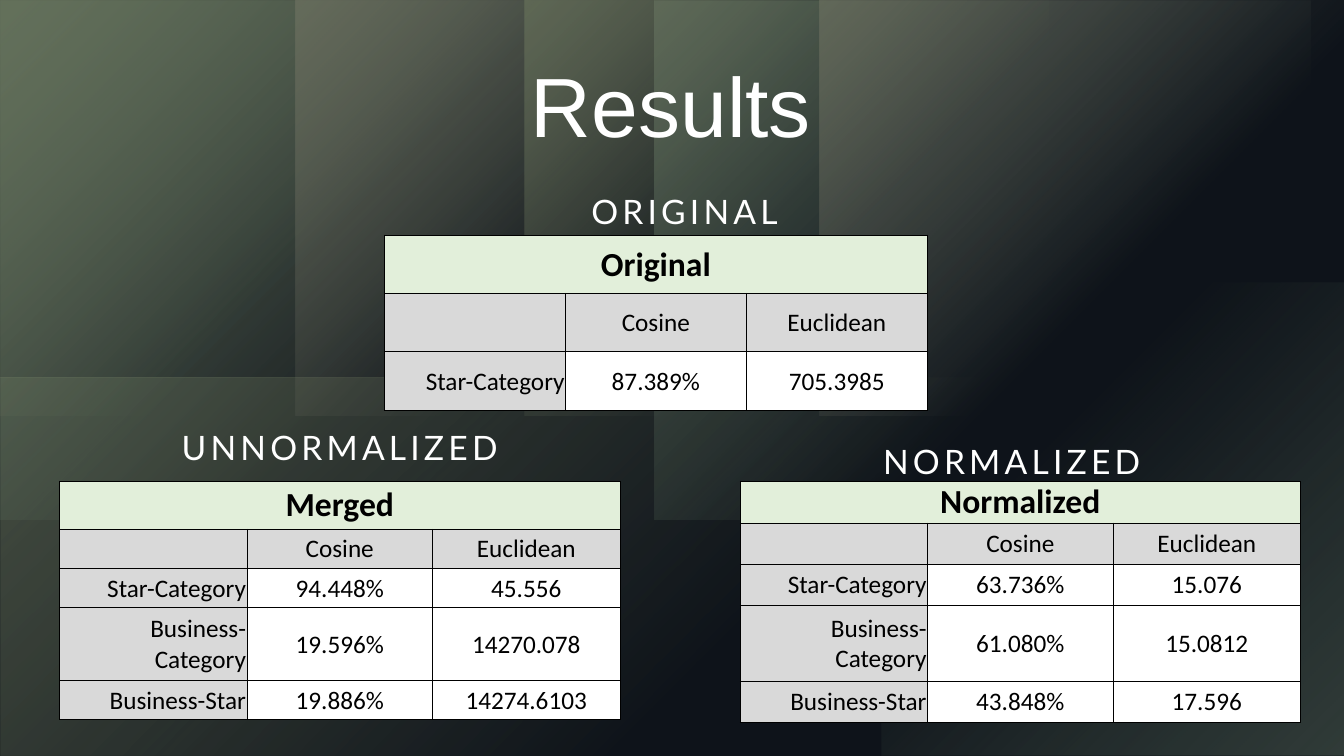
from dataclasses import dataclass

from lxml.etree import SubElement
from pptx import Presentation
from pptx.dml.color import RGBColor
from pptx.enum.shapes import MSO_SHAPE
from pptx.enum.text import MSO_ANCHOR, MSO_AUTO_SIZE, PP_ALIGN
from pptx.oxml.ns import qn
from pptx.shapes.autoshape import Shape
from pptx.slide import Slide
from pptx.util import Inches, Pt

WHITE = RGBColor(0xFF, 0xFF, 0xFF)
BLACK = RGBColor(0x00, 0x00, 0x00)
GREY = RGBColor(0xD9, 0xD9, 0xD9)
MINT = RGBColor(0xE2, 0xEF, 0xDA)
SLATE = RGBColor(0x24, 0x31, 0x41)
SAGE = RGBColor(0x8F, 0xA8, 0x7F)
OLIVE = RGBColor(0x9C, 0xA6, 0x71)
SAND = RGBColor(0xAA, 0xA1, 0x80)

Box = tuple[float, float, float, float]


@dataclass(frozen=True)
class Glow:
    box: Box
    color: RGBColor
    stops: tuple[tuple[int, int], ...]
    rotation: int = 0
    flip: str = ""
    focus: str = "rb"


@dataclass(frozen=True)
class Result:
    heading: str
    heading_box: Box
    title: str
    left: float
    top: float
    cols: tuple[float, ...]
    rows: tuple[float, ...]
    data: tuple[tuple[str, str, str], ...]


FADE = ((0, 60), (60, 0))
SAGE_FADE = ((0, 60), (63, 0))
GLOWS = (
    Glow((8.74, 2.8, 4.59, 4.7), SAGE, ((0, 40), (34, 20), (65, 0)), focus="lt"),
    Glow((4.39, -4.39, 3.75, 12.52), OLIVE, FADE, 270),
    Glow((4.39, -0.64, 3.75, 12.52), OLIVE, FADE, 270, "flipH"),
    Glow((0.67, -0.67, 5.15, 6.5), SAGE, SAGE_FADE, 90),
    Glow((7.17, -0.67, 5.15, 6.5), SAGE, SAGE_FADE, 90, "flipV"),
    Glow((8.13, 0, 5.2, 4.12), SAND, FADE),
    Glow((2.93, 0, 5.2, 4.12), SAND, FADE, flip="flipH"),
    Glow((5.2, 0, 5.2, 4.12), OLIVE, FADE),
    Glow((0, 0, 5.2, 4.12), OLIVE, FADE, flip="flipH"),
)
WIDE = (1.86, 1.84, 1.86)
MERGED = Result(
    "UNNORMALIZED", (0.39, 3.82, 5.96, 0.87), "Merged", 0.59, 4.77,
    WIDE, (0.48, 0.39, 0.39, 0.72, 0.39),
    (("Star-Category", "94.448%", "45.556"),
     ("Business-Category", "19.596%", "14270.078"),
     ("Business-Star", "19.886%", "14274.6103")))
NORMALIZED = Result(
    "NORMALIZED", (7.06, 3.95, 5.95, 0.87), "Normalized", 7.34, 4.77,
    WIDE, (0.41, 0.41, 0.41, 0.75, 0.41),
    (("Star-Category", "63.736%", "15.076"),
     ("Business-Category", "61.080%", "15.0812"),
     ("Business-Star", "43.848%", "17.596")))
ORIGINAL = Result(
    "ORIGINAL", (3.81, 1.47, 5.96, 0.87), "Original", 3.81, 2.33,
    (1.8, 1.79, 1.8), (0.58,) * 3,
    (("Star-Category", "87.389%", "705.3985"),))


def set_all(obj: object, values: dict) -> None:
    for name, value in values.items():
        setattr(obj, name, value)


def place(sp: Shape, box: Box) -> None:
    set_all(sp, dict(zip(("left", "top", "width", "height"), map(Inches, box))))


def add_rect(s: Slide, box: Box) -> Shape:
    sp = s.shapes.add_shape(MSO_SHAPE.RECTANGLE, *map(Inches, box))
    sp.shadow.inherit = False
    sp.line.fill.background()
    return sp


def set_alpha(color_el, percent: int) -> None:
    SubElement(color_el, qn("a:alpha")).set("val", str(percent * 1000))


def add_glow(s: Slide, glow: Glow) -> None:
    sp = add_rect(s, glow.box)
    sp.rotation = glow.rotation
    pr = sp.element.spPr
    if glow.flip:
        pr.find(qn("a:xfrm")).set(glow.flip, "1")
    grad = SubElement(pr, qn("a:gradFill"), rotWithShape="1")
    pr.find(qn("a:prstGeom")).addnext(grad)
    stops = SubElement(grad, qn("a:gsLst"))
    for pos, alpha in glow.stops:
        stop = SubElement(stops, qn("a:gs"), pos=str(pos * 1000))
        set_alpha(SubElement(stop, qn("a:srgbClr"), val=str(glow.color)), alpha)
    shade = SubElement(grad, qn("a:path"), path="circle")
    SubElement(shade, qn("a:fillToRect"), {side: "100000" for side in glow.focus})


def add_veil(s: Slide) -> None:
    sp = add_rect(s, (0, 0, 13.33, 7.5))
    sp.fill.solid()
    sp.fill.fore_color.rgb = SLATE
    set_alpha(sp.element.spPr.find(".//" + qn("a:srgbClr")), 40)


def write(tf, text: str, para: dict, font: dict, color: RGBColor):
    p = tf.paragraphs[0]
    set_all(p, para)
    r = p.add_run()
    r.text = text
    set_all(r.font, font)
    r.font.color.rgb = color
    return r


def write_heading(sp: Shape, result: Result) -> None:
    place(sp, result.heading_box)
    set_all(sp.text_frame, {"word_wrap": True, "vertical_anchor": MSO_ANCHOR.BOTTOM,
                            "auto_size": MSO_AUTO_SIZE.NONE})
    r = write(sp.text_frame, result.heading,
              {"alignment": PP_ALIGN.CENTER, "line_spacing": 1.25, "space_before": Pt(10)},
              {"name": "Lato", "size": Pt(24), "bold": False}, WHITE)
    r.font._element.set("spc", "300")


def format_cell(cell, fill: RGBColor) -> None:
    set_all(cell, {"vertical_anchor": MSO_ANCHOR.MIDDLE, "margin_left": Inches(0.01),
                   "margin_right": Inches(0.01), "margin_top": Inches(0.01),
                   "margin_bottom": 0})
    pr = cell._tc.get_or_add_tcPr()
    for side in ("lnL", "lnR", "lnT", "lnB"):
        ln = SubElement(pr, qn("a:" + side), w=str(Pt(0.5)))
        SubElement(SubElement(ln, qn("a:solidFill")), qn("a:srgbClr"), val=str(BLACK))
    cell.fill.solid()
    cell.fill.fore_color.rgb = fill


def add_result_table(s: Slide, result: Result) -> None:
    frame = s.shapes.add_table(
        len(result.rows), len(result.cols), Inches(result.left), Inches(result.top),
        Inches(sum(result.cols)), Inches(sum(result.rows)))
    table = frame.table
    set_all(table, {"first_row": False, "horz_banding": False})
    for col, width in zip(table.columns, result.cols):
        col.width = Inches(width)
    for row, height in zip(table.rows, result.rows):
        row.height = Inches(height)
    grid = ((result.title, "", ""), ("", "Cosine", "Euclidean"), *result.data)
    for i, texts in enumerate(grid):
        for j, text in enumerate(texts):
            cell = table.cell(i, j)
            fill = MINT if i == 0 else GREY if i == 1 or j == 0 else WHITE
            format_cell(cell, fill)
            if text:
                align = PP_ALIGN.RIGHT if i > 1 and j == 0 else PP_ALIGN.CENTER
                write(cell.text_frame, text, {"alignment": align},
                      {"name": "Calibri", "size": Pt(18 if i else 24), "bold": i == 0}, BLACK)
    table.cell(0, 0).merge(table.cell(0, len(result.cols) - 1))


def main() -> None:
    prs = Presentation()
    set_all(prs, {"slide_width": Inches(13.33), "slide_height": Inches(7.5)})
    s = prs.slides.add_slide(prs.slide_layouts[4])
    s.background.fill.solid()
    s.background.fill.fore_color.rgb = BLACK
    title, left, left_body, right, right_body = s.placeholders
    for sp in (left_body, right_body):
        sp.element.getparent().remove(sp.element)
    for glow in GLOWS:
        add_glow(s, glow)
    add_veil(s)

    place(title, (0.59, 0.59, 12.13, 1.32))
    set_all(title.text_frame, {"vertical_anchor": MSO_ANCHOR.TOP, "word_wrap": True,
                               "auto_size": MSO_AUTO_SIZE.NONE})
    write(title.text_frame, "Results", {"alignment": PP_ALIGN.CENTER, "line_spacing": 0.9},
          {"name": "Arial", "size": Pt(60)}, WHITE)
    s.shapes.element.append(title.element)

    for sp, result in ((left, MERGED), (right, NORMALIZED)):
        s.shapes.element.append(sp.element)
        write_heading(sp, result)
        add_result_table(s, result)
    write_heading(s.shapes.add_textbox(*map(Inches, ORIGINAL.heading_box)), ORIGINAL)
    add_result_table(s, ORIGINAL)
    prs.save("out.pptx")


if __name__ == "__main__":
    main()
